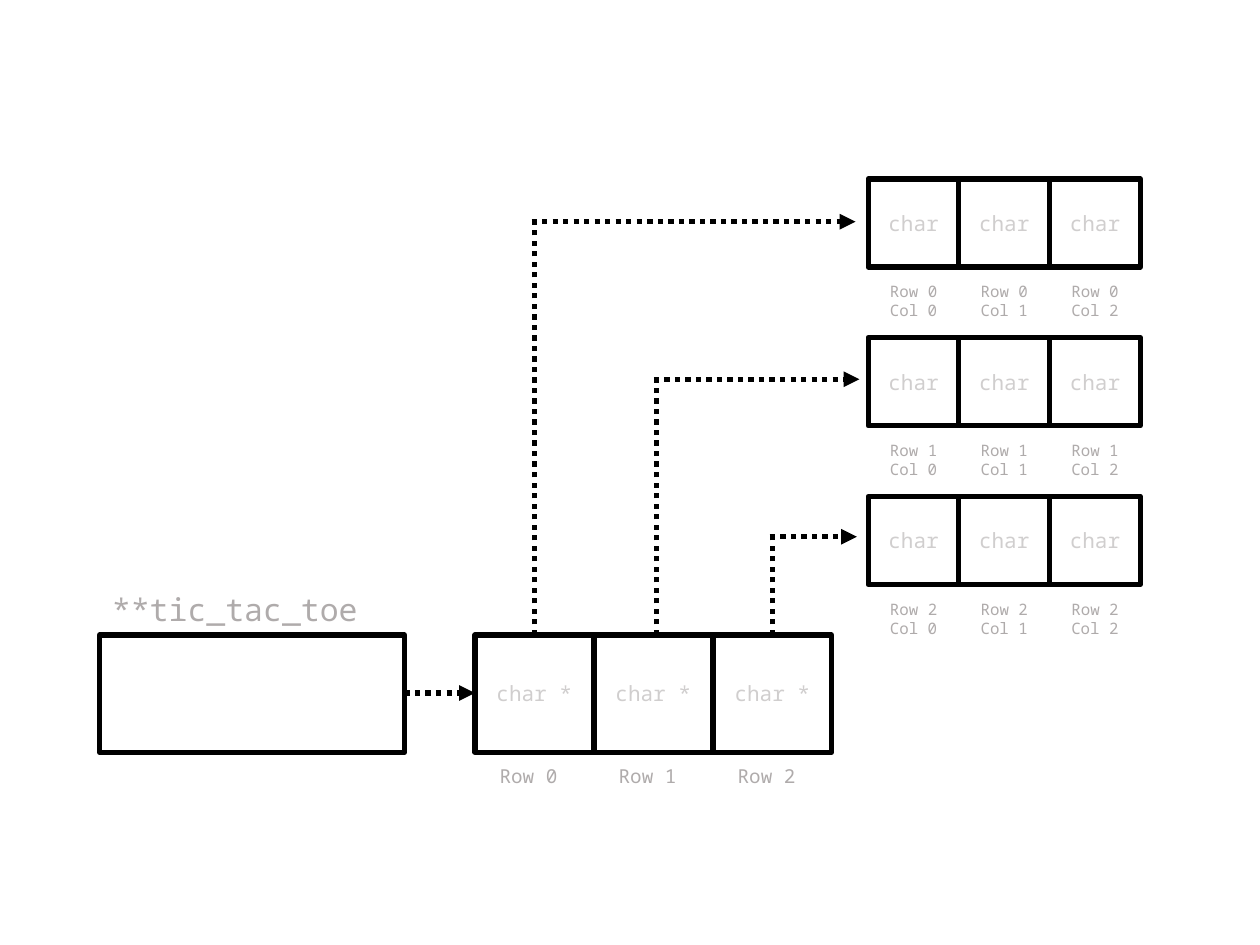
import pptx
import pptx.dml.color
import pptx.enum.dml
import pptx.enum.shapes
import pptx.enum.text
import pptx.oxml.ns
import pptx.util
from lxml import etree

FONT = "Noto Sans Mono"
BLACK, WHITE, LABEL_GREY, CELL_GREY = "000000", "FFFFFF", "AFABAB", "D0CECE"
LINE_WIDTH = 3
COUNT = 3

POINTER_LEFT, POINTER_TOP, POINTER_WIDTH = 0.79, 5.04, 2.42
ROWS_LEFT, ROW_PITCH, ROW_SIZE, ROW_HEIGHT = 3.77, 0.945, 0.94, 0.93
CHARS_LEFT, CHARS_TOP = 6.89, 1.42
CHAR_WIDTH, CHAR_HEIGHT, CHAR_PITCH = 0.72, 0.7, 1.26
ROW_ARROWS = [(4.24, 1.76, 6.79), (5.21, 3.01, 6.82), (6.13, 4.26, 6.8)]


def inches(*lengths):
    return [pptx.util.Inches(length) for length in lengths]


def color(value):
    return pptx.dml.color.RGBColor.from_string(value)


def write_text(frame, text, size=12, ink=LABEL_GREY, centered=True):
    frame.word_wrap = True
    para = frame.paragraphs[0]
    alignment = pptx.enum.text.PP_ALIGN
    para.alignment = alignment.CENTER if centered else alignment.LEFT
    span = para.add_run()
    span.text = text
    span.font.name = FONT
    span.font.size = pptx.util.Pt(size)
    span.font.color.rgb = color(ink)


def add_cell(page, left, top, width, height, text=""):
    rectangle = pptx.enum.shapes.MSO_SHAPE.RECTANGLE
    box = page.shapes.add_shape(rectangle, *inches(left, top, width, height))
    box.shadow.inherit = False
    box.fill.solid()
    box.fill.fore_color.rgb = color(WHITE)
    box.line.color.rgb = color(BLACK)
    box.line.width = pptx.util.Pt(LINE_WIDTH)
    if text:
        box.text_frame.vertical_anchor = pptx.enum.text.MSO_ANCHOR.MIDDLE
        write_text(box.text_frame, text, ink=CELL_GREY)


def add_label(page, left, top, width, height, text, **text_format):
    box = page.shapes.add_textbox(*inches(left, top, width, height))
    write_text(box.text_frame, text, **text_format)
    box.text_frame.auto_size = pptx.enum.text.MSO_AUTO_SIZE.SHAPE_TO_FIT_TEXT


def add_dotted_line(page, start, end, arrow=False):
    straight = pptx.enum.shapes.MSO_CONNECTOR.STRAIGHT
    connector = page.shapes.add_connector(straight, *inches(*start, *end))
    connector.line.color.rgb = color(BLACK)
    connector.line.width = pptx.util.Pt(LINE_WIDTH)
    connector.line.dash_style = pptx.enum.dml.MSO_LINE.ROUND_DOT
    name = pptx.oxml.ns.qn
    if arrow:
        outline = connector.line._get_or_add_ln()
        etree.SubElement(outline, name("a:tailEnd"), type="triangle")
    etree.SubElement(connector._element.spPr, name("a:effectLst"))


def add_pointer(page):
    add_cell(page, POINTER_LEFT, POINTER_TOP, POINTER_WIDTH, ROW_HEIGHT)
    add_label(page, POINTER_LEFT, 4.63, 2.24, 0.4, "**tic_tac_toe",
              size=18, centered=False)
    add_dotted_line(page, (POINTER_LEFT + POINTER_WIDTH, 5.5),
                    (ROWS_LEFT, 5.5), arrow=True)


def add_row_pointers(page):
    for row in range(COUNT):
        left = ROWS_LEFT + row * ROW_PITCH
        add_cell(page, left, POINTER_TOP, ROW_SIZE, ROW_HEIGHT, "char *")
        add_label(page, left - 0.01, 6.02, 0.87, 0.29, f"Row {row}", size=11)


def add_characters(page):
    for row in range(COUNT):
        top = CHARS_TOP + row * CHAR_PITCH
        for column in range(COUNT):
            left = CHARS_LEFT + column * CHAR_WIDTH
            add_cell(page, left, top, CHAR_WIDTH, CHAR_HEIGHT, "char")
            add_label(page, left, top + 0.77, CHAR_WIDTH, 0.4,
                      f"Row {row} Col {column}", size=9)


def add_row_arrows(page):
    half_line = LINE_WIDTH / 72 / 2
    for across, level, end in ROW_ARROWS:
        add_dotted_line(page, (across, POINTER_TOP), (across, level))
        add_dotted_line(page, (across - half_line, level), (end, level), arrow=True)


def main():
    deck = pptx.Presentation()
    deck.slide_width, deck.slide_height = inches(10, 7.5)
    page = deck.slides.add_slide(deck.slide_layouts[6])
    add_pointer(page)
    add_row_pointers(page)
    add_characters(page)
    add_row_arrows(page)
    deck.save("out.pptx")


if __name__ == "__main__":
    main()
